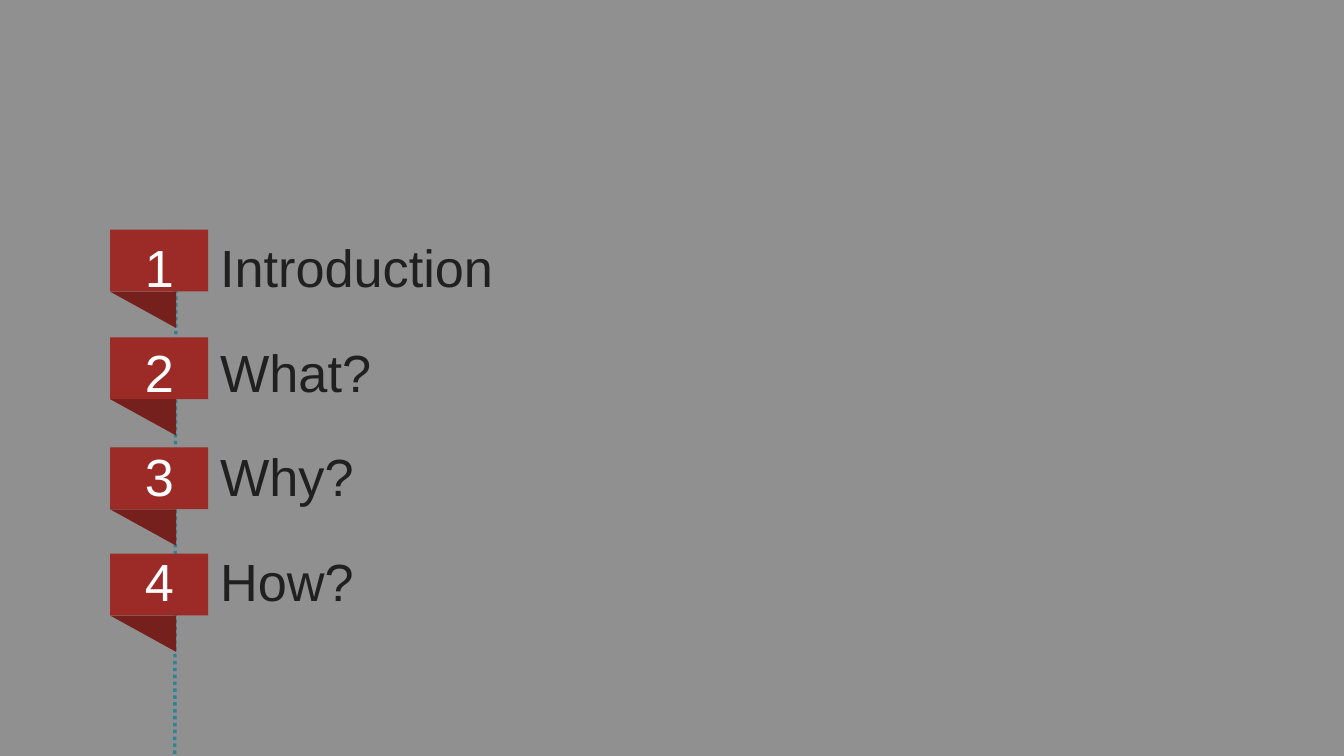
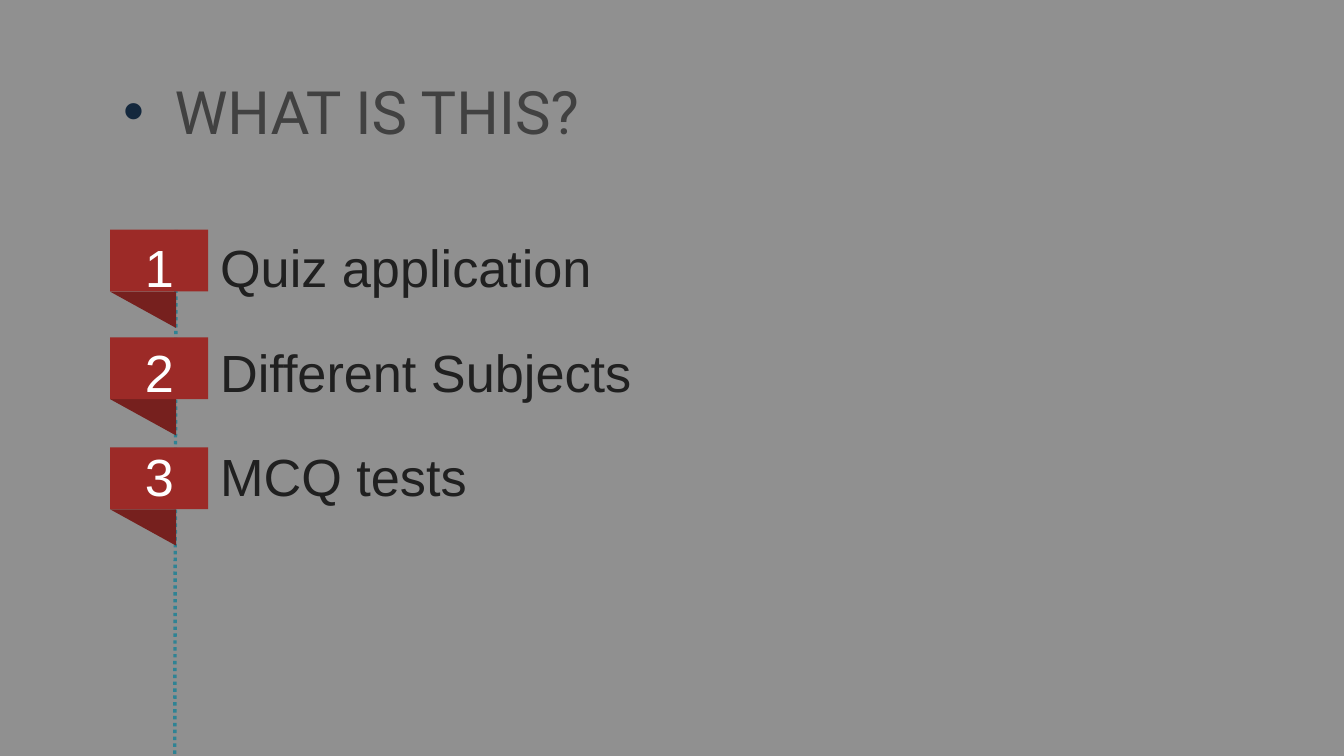
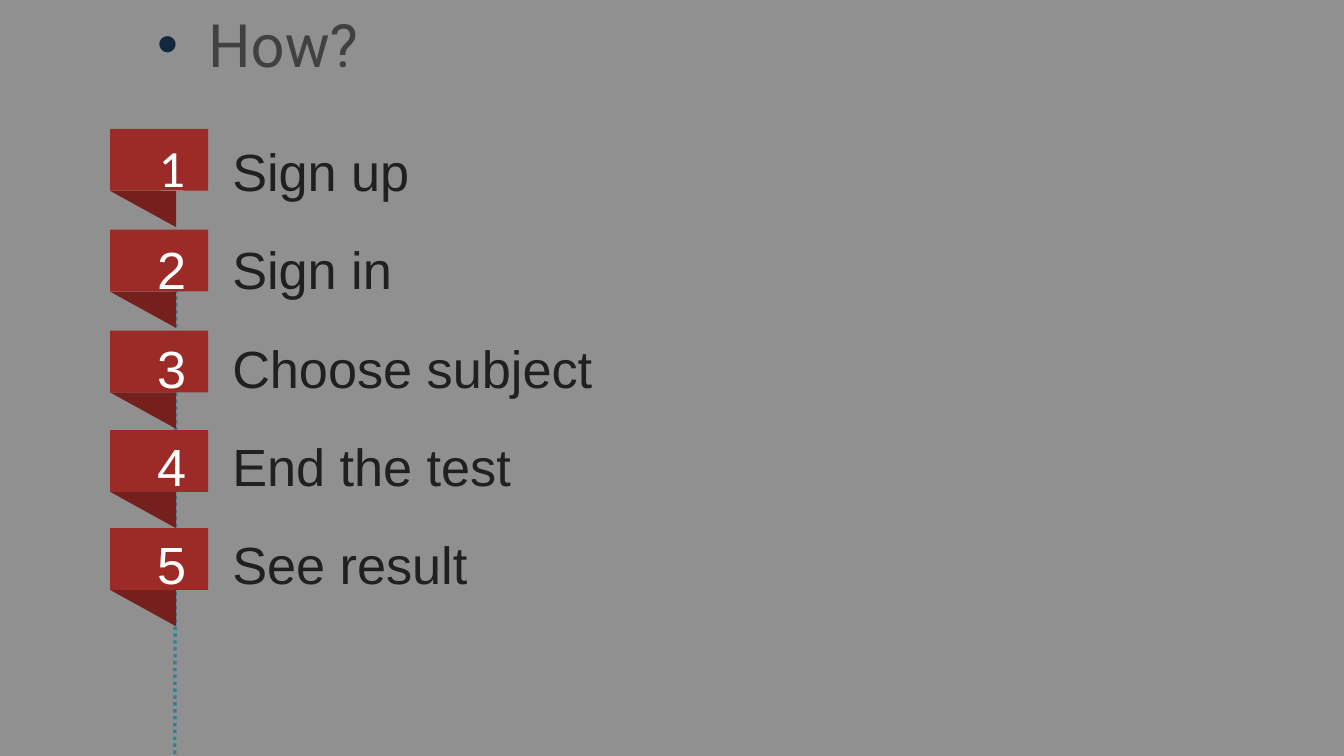
from dataclasses import dataclass

from lxml import etree
from pptx import Presentation
from pptx.dml.color import RGBColor
from pptx.enum import dml, shapes, text
from pptx.oxml import ns
from pptx.shapes.autoshape import Shape
from pptx.slide import Slide
from pptx.text.text import _Paragraph as Paragraph
from pptx.util import Inches, Pt

# Shared colours
BACKGROUND = RGBColor(0x90, 0x90, 0x90)
RIBBON = RGBColor(0x9C, 0x2A, 0x27)
FOLD = RGBColor(0x76, 0x20, 0x1E)
GUIDE = RGBColor(0x2F, 0x83, 0x94)
BODY = RGBColor(0x20, 0x20, 0x20)
TITLE = RGBColor(0x41, 0x41, 0x41)
TITLE_BULLET = RGBColor(0x14, 0x28, 0x3D)
WHITE = RGBColor(0xFF, 0xFF, 0xFF)

# Shared text formats
BODY_FONT = {"name": "Arial", "size": Pt(28)}
TITLE_FONT = {"name": "Roboto", "size": Pt(32)}
NUMBER_FONT = {"name": "Calibri", "size": Pt(28)}

# Ribbon geometry, in inches
RIBBON_LEFT, RIBBON_WIDTH, RIBBON_HEIGHT = 0.82, 0.73, 0.46
FOLD_WIDTH, FOLD_HEIGHT = 0.49, 0.27


@dataclass(frozen=True)
class Agenda:
    items: tuple[str, ...]
    ribbon_tops: tuple[float, ...]
    list_at: tuple[float, float] = (0.98, 1.47)
    line_spacing: float = 1.5
    title: str = ""
    title_at: tuple[float, float] = (0.82, 0.51)
    number_on_first: bool = False


AGENDAS = (
    Agenda(("Introduction", "What?", "Why?", "How?"), (1.71, 2.51, 3.33, 4.12)),
    Agenda(("Quiz application", "Different Subjects", "MCQ tests"),
           (1.71, 2.51, 3.33), title="WHAT IS THIS?"),
    Agenda(("Sign up", "Sign in", "Choose subject", "End the test", "See result"),
           (0.96, 1.71, 2.46, 3.2, 3.93), list_at=(1.07, 0.8), line_spacing=1.4,
           title="How?", title_at=(1.07, 0.01), number_on_first=True),
)


def add_text_box(slide: Slide, left: float, top: float, width: float,
                 height: float) -> Shape:
    box = slide.shapes.add_textbox(Inches(left), Inches(top), Inches(width),
                                   Inches(height))
    box.text_frame.word_wrap = True
    box.text_frame.vertical_anchor = text.MSO_ANCHOR.TOP
    return box


def write(paragraph: Paragraph, words: str, font: dict, color: RGBColor) -> None:
    run = paragraph.add_run()
    run.text = words
    for name, value in font.items():
        setattr(run.font, name, value)
    run.font.color.rgb = color


def add_bullet(paragraph: Paragraph, indent: float, color: RGBColor,
               kind: str, **attributes: str) -> None:
    """Hanging indent, 20 % space before, and a coloured bullet or number."""
    properties = paragraph._p.get_or_add_pPr()
    properties.set("marL", str(Inches(indent)))
    properties.set("indent", str(-Inches(indent)))
    before = etree.SubElement(properties, ns.qn("a:spcBef"))
    etree.SubElement(before, ns.qn("a:spcPct")).set("val", "20000")
    bullet_color = etree.SubElement(properties, ns.qn("a:buClr"))
    etree.SubElement(bullet_color, ns.qn("a:srgbClr")).set("val", str(color))
    etree.SubElement(properties, ns.qn("a:buFont")).set("typeface", "Arial")
    bullet = etree.SubElement(properties, ns.qn(kind))
    for name, value in attributes.items():
        bullet.set(name, value)


def add_guide(slide: Slide) -> None:
    line = slide.shapes.add_connector(shapes.MSO_CONNECTOR.STRAIGHT, Inches(1.3),
                                      Inches(5.66), Inches(1.31), Inches(1.71))
    line.line.color.rgb = GUIDE
    line.line.width = Pt(1.85)
    line.line.dash_style = dml.MSO_LINE.ROUND_DOT
    etree.SubElement(line._element.spPr, ns.qn("a:effectLst"))


def add_ribbon(slide: Slide, top: float) -> None:
    group = slide.shapes.add_group_shape()
    parts = (
        (shapes.MSO_SHAPE.RIGHT_TRIANGLE, top + RIBBON_HEIGHT, FOLD_WIDTH,
         FOLD_HEIGHT, FOLD, 180),
        (shapes.MSO_SHAPE.RECTANGLE, top, RIBBON_WIDTH, RIBBON_HEIGHT, RIBBON, 0),
    )
    for kind, part_top, width, height, color, rotation in parts:
        shape = group.shapes.add_shape(kind, Inches(RIBBON_LEFT), Inches(part_top),
                                       Inches(width), Inches(height))
        shape.rotation = rotation
        shape.shadow.inherit = False
        shape.fill.solid()
        shape.fill.fore_color.rgb = color
        shape.line.fill.background()


def add_list(slide: Slide, agenda: Agenda) -> None:
    frame = add_text_box(slide, *agenda.list_at, 7.59, 3.86).text_frame
    for index, item in enumerate(agenda.items):
        paragraph = frame.add_paragraph() if index else frame.paragraphs[0]
        paragraph.line_spacing = agenda.line_spacing
        add_bullet(paragraph, 0.56, WHITE, "a:buAutoNum", type="arabicPlain")
        write(paragraph, item, BODY_FONT, BODY)


def add_title(slide: Slide, agenda: Agenda) -> None:
    box = add_text_box(slide, *agenda.title_at, 5.15, 1.53)
    paragraph = box.text_frame.paragraphs[0]
    add_bullet(paragraph, 0.38, TITLE_BULLET, "a:buChar", char="•")
    write(paragraph, agenda.title, TITLE_FONT, TITLE)


def add_first_number(slide: Slide, top: float) -> None:
    box = add_text_box(slide, RIBBON_LEFT, top, RIBBON_WIDTH, 0.57)
    box.text_frame.margin_left = Inches(0.36)
    write(box.text_frame.paragraphs[0], "1", NUMBER_FONT, WHITE)


def build_slide(presentation: Presentation, agenda: Agenda) -> None:
    slide = presentation.slides.add_slide(presentation.slide_layouts[6])
    slide.background.fill.solid()
    slide.background.fill.fore_color.rgb = BACKGROUND
    add_guide(slide)
    first, *others = agenda.ribbon_tops
    if not agenda.number_on_first:
        add_ribbon(slide, first)
    for top in others:
        add_ribbon(slide, top)
    add_list(slide, agenda)
    if agenda.title:
        add_title(slide, agenda)
    # A separate number lies on a ribbon that is in front of the list
    if agenda.number_on_first:
        add_ribbon(slide, first)
        add_first_number(slide, first)


# A widescreen page, 16 to 9
presentation = Presentation()
presentation.slide_width = Inches(10)
presentation.slide_height = Inches(10 * 9 / 16)
for agenda in AGENDAS:
    build_slide(presentation, agenda)
presentation.save("out.pptx")
